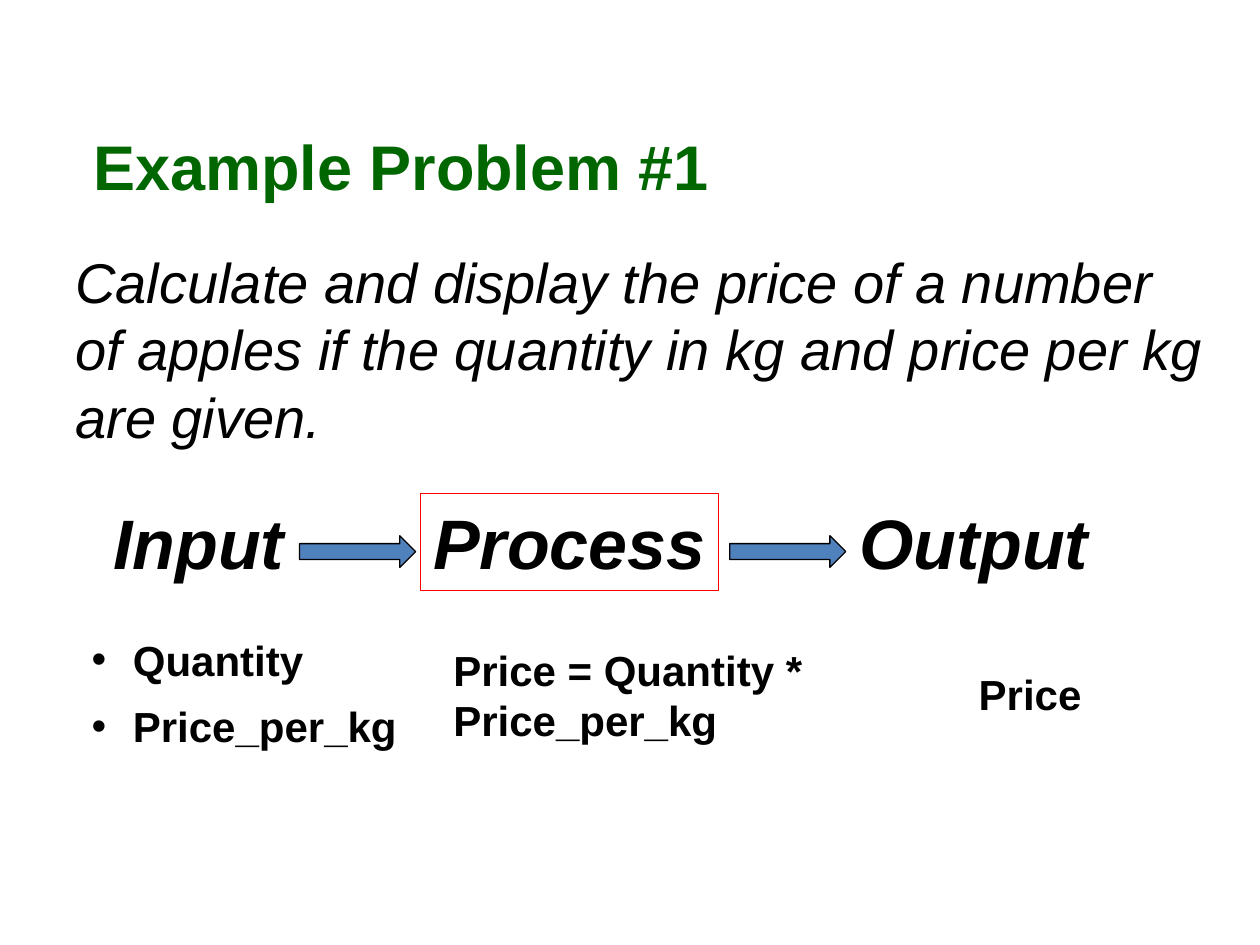
import pptx
import pptx.util
import pptx.dml.color
import pptx.enum.shapes
import pptx.enum.text
import lxml.etree
from pptx.util import Cm


def color(hex_string):
    return pptx.dml.color.RGBColor.from_string(hex_string)


def write(box, lines, size, bold=False, italic=False, wrap=False, centered=False):
    frame = box.text_frame
    frame.text = "\n".join(lines)
    frame.word_wrap = wrap
    frame.auto_size = pptx.enum.text.MSO_AUTO_SIZE.SHAPE_TO_FIT_TEXT
    frame.vertical_anchor = pptx.enum.text.MSO_ANCHOR.TOP
    for para in frame.paragraphs:
        if centered:
            para.alignment = pptx.enum.text.PP_ALIGN.CENTER
        for span in para.runs:
            span.font.name = "Arial"
            span.font.size = pptx.util.Pt(size)
            span.font.bold = bold
            span.font.italic = italic
            span.font.color.rgb = color("000000")
    return frame


deck = pptx.Presentation()
deck.slide_width, deck.slide_height = Cm(25.4), Cm(19.05)
page = deck.slides.add_slide(deck.slide_layouts[6])
shape_kind = pptx.enum.shapes.MSO_SHAPE

# Input, process and output stages
flow = page.shapes.add_group_shape()
for stage, left, width in [("Input", 1.98, 4.06), ("Process", 8.48, 6), ("Output", 17.03, 5.2)]:
    place = Cm(left), Cm(9.95), Cm(width), Cm(1.96)
    if stage == "Process":
        box = flow.shapes.add_shape(shape_kind.RECTANGLE, *place)
        box.shadow.inherit = False
        box.fill.background()
        box.line.color.rgb = color("FF0000")
        box.line.width = pptx.util.Pt(0.75)
    else:
        box = flow.shapes.add_textbox(*place)
    write(box, [stage], 40, bold=True, italic=True, centered=True)

# Arrows between the stages
for left in (6.04, 14.71):
    arrow = flow.shapes.add_shape(shape_kind.RIGHT_ARROW, Cm(left), Cm(10.8), Cm(2.34), Cm(0.64))
    arrow.shadow.inherit = False
    arrow.fill.solid()
    arrow.fill.fore_color.rgb = color("4F81BD")
    arrow.line.color.rgb = color("000000")
    arrow.line.width = pptx.util.Pt(0.75)

# Problem statement
box = page.shapes.add_textbox(Cm(1.27), Cm(4.87), Cm(23.29), Cm(4.32))
write(box, ["Calculate and display the price of a number of apples "
            "if the quantity in kg and price per kg are given."], 32, italic=True, wrap=True)

# Bulleted inputs
box = page.shapes.add_textbox(Cm(1.6), Cm(12.86), Cm(6.86), Cm(3.43))
frame = write(box, ["Quantity", "Price_per_kg"], 24, bold=True, wrap=True)
for para in frame.paragraphs:
    para.line_spacing = 0.8
    properties = para._p.get_or_add_pPr()
    properties.set("marL", str(Cm(0.83)))
    properties.set("indent", str(-Cm(0.83)))
    for tag, name, value in [("a:buFont", "typeface", "Arial"), ("a:buChar", "char", "•")]:
        bullet = lxml.etree.SubElement(properties, pptx.oxml.ns.qn(tag))
        bullet.set(name, value)
frame.paragraphs[1].space_before = pptx.util.Pt(15)

# Formula
box = page.shapes.add_textbox(Cm(8.89), Cm(12.86), Cm(11.23), Cm(3.3))
write(box, ["Price = Quantity * Price_per_kg"], 24, bold=True, wrap=True)

# Result
box = page.shapes.add_textbox(Cm(19.48), Cm(13.54), Cm(2.7), Cm(1.07))
frame = write(box, ["Price"], 24, bold=True)
frame.paragraphs[0].line_spacing = 0.8

# Title
box = page.shapes.add_textbox(Cm(1.63), Cm(2.44), Cm(13), Cm(1.78))
frame = write(box, ["Example Problem #1"], 36, bold=True)
frame.paragraphs[0].runs[0].font.color.rgb = color("006600")

deck.save("out.pptx")
